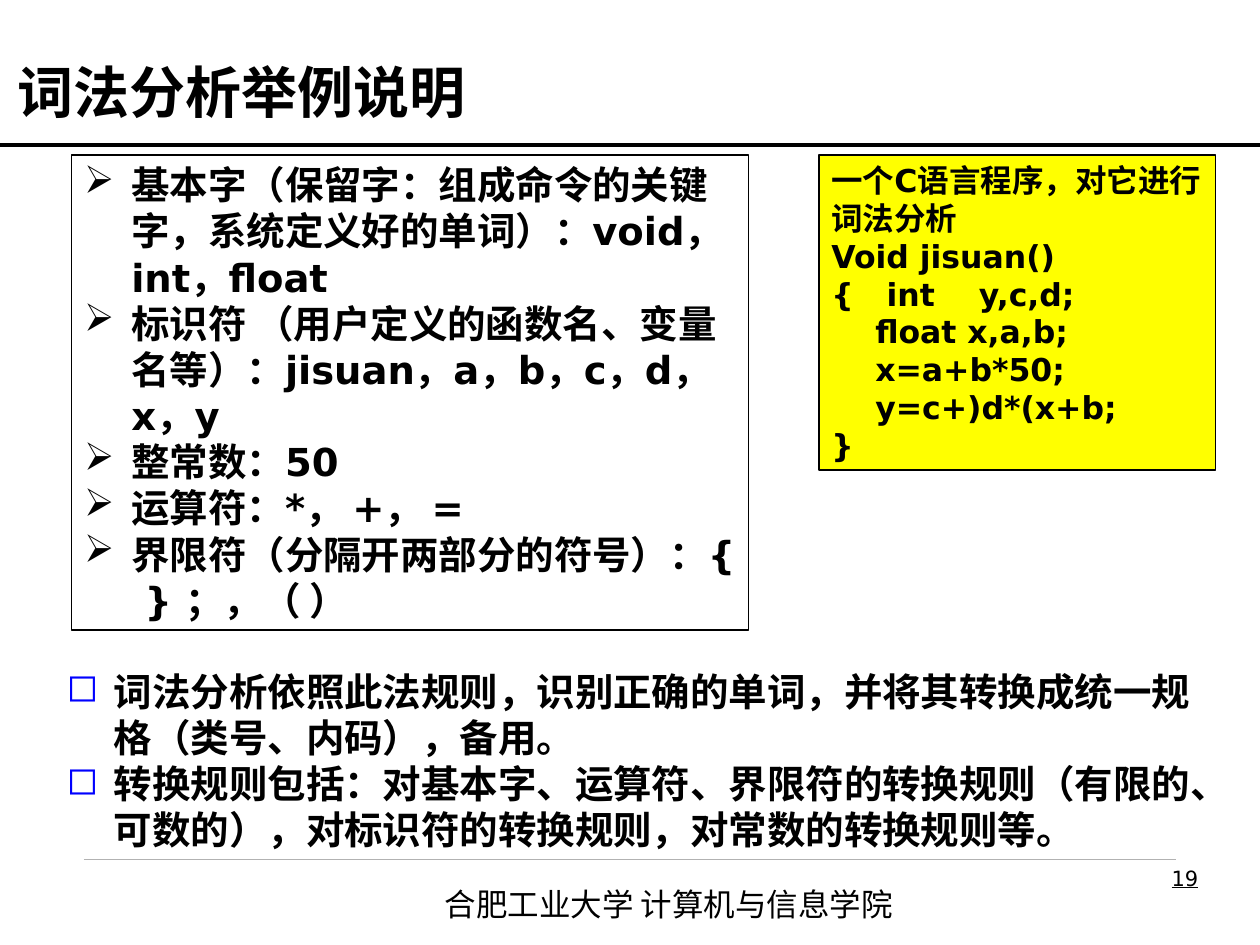
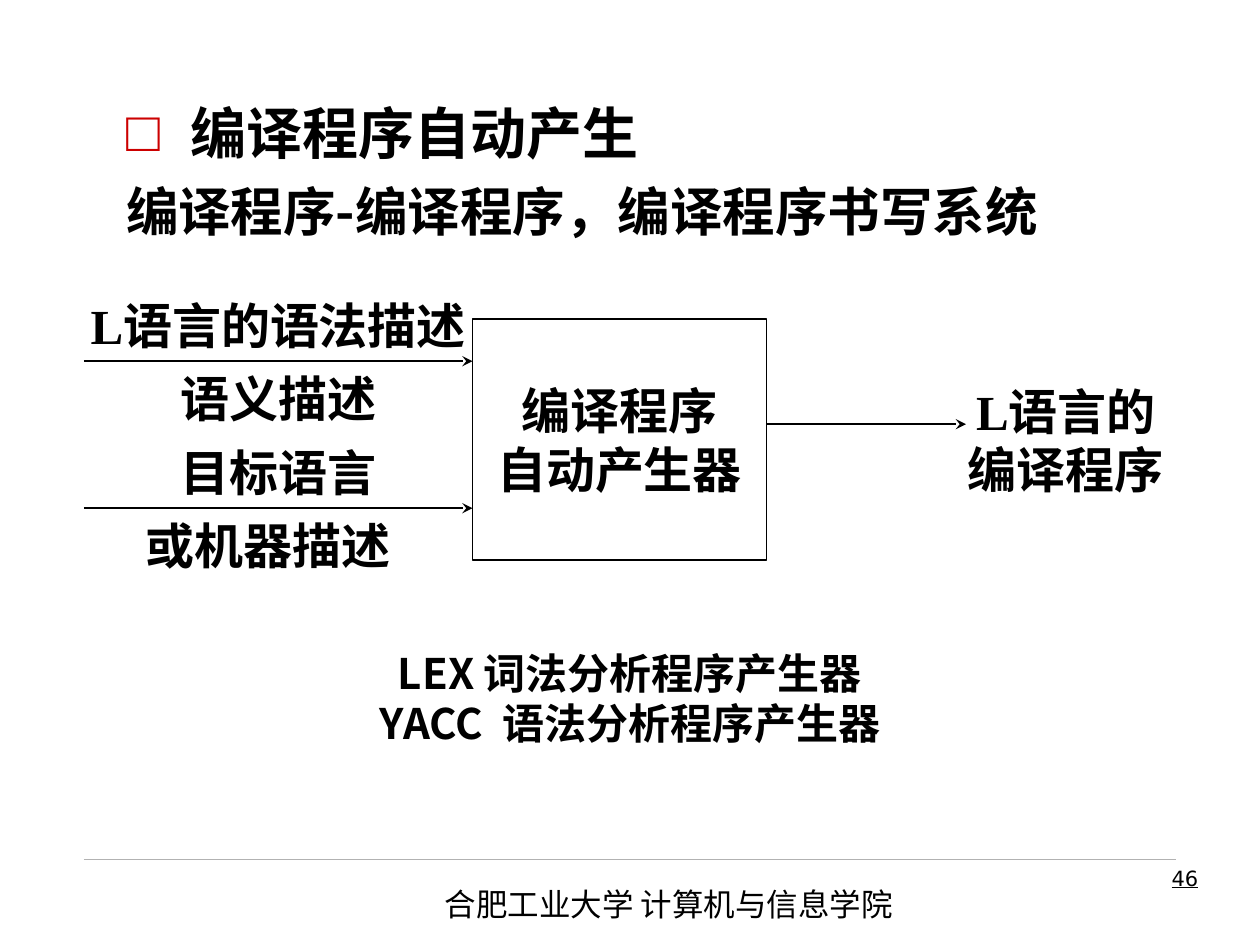
"""Build two compiler-course slides: a lexical analysis example and a compiler generator diagram."""
from lxml.etree import SubElement
from pptx import Presentation
from pptx.dml.color import RGBColor
from pptx.enum.shapes import MSO_CONNECTOR, MSO_SHAPE
from pptx.enum.text import MSO_ANCHOR, MSO_AUTO_SIZE, PP_ALIGN
from pptx.oxml.ns import qn
from pptx.util import Pt

COLORS = {"ink": "000000", "blue": "0000FF", "red": "CC0000", "yellow": "FFFF00", "rule": "B2B2B2"}
CJK, SANS, SERIF = "Noto Sans CJK SC", "DejaVu Sans", "Times New Roman"
RGB = {name: RGBColor.from_string(value) for name, value in COLORS.items()}


def write(sp, box, lines, size, font=SANS, align=PP_ALIGN.LEFT, anchor=MSO_ANCHOR.TOP,
          wrap=True, bullet=None, indent=0, bold=True, underline=None):
    sp.left, sp.top, sp.width, sp.height = [Pt(v) for v in box]
    tf = sp.text_frame
    side = Pt(7.2 if wrap else 0)
    frame = {"word_wrap": wrap, "auto_size": MSO_AUTO_SIZE.NONE, "vertical_anchor": anchor,
             "margin_left": side, "margin_right": side,
             "margin_top": Pt(3.6), "margin_bottom": Pt(3.6)}
    for key, value in frame.items():
        setattr(tf, key, value)
    for i, line in enumerate(lines):
        p = tf.paragraphs[0] if i == 0 else tf.add_paragraph()
        if indent:
            pPr = p._p.get_or_add_pPr()
            pPr.set("marL", str(Pt(indent)))
            pPr.set("indent", str(-Pt(indent)))
            if bullet:
                char, color = bullet
                clr = SubElement(pPr, qn("a:buClr"))
                SubElement(clr, qn("a:srgbClr"), val=COLORS[color])
                SubElement(pPr, qn("a:buChar"), char=char)
        for key, value in {"alignment": align, "space_before": Pt(0), "space_after": Pt(0),
                           "line_spacing": Pt(size * 1.2)}.items():
            setattr(p, key, value)
        r = p.add_run()
        r.text = line
        for key, value in {"size": Pt(size), "name": font, "bold": bold,
                           "underline": underline}.items():
            setattr(r.font, key, value)
        r.font.color.rgb = RGB["ink"]
        SubElement(r._r.get_or_add_rPr(), qn("a:ea"), typeface=CJK)
    return tf


def draw_line(s, x1, x2, y, width, color="ink", arrow=False):
    c = s.shapes.add_connector(MSO_CONNECTOR.STRAIGHT, Pt(x1), Pt(y), Pt(x2), Pt(y))
    c.line.width = Pt(width)
    c.line.color.rgb = RGB[color]
    if arrow:
        SubElement(c.line._get_or_add_ln(), qn("a:tailEnd"), type="stealth")
    SubElement(c._element.spPr, qn("a:effectLst"))


prs = Presentation()
prs.slide_width, prs.slide_height = Pt(720), Pt(540)
example = prs.slides.add_slide(prs.slide_layouts[5])
generator = prs.slides.add_slide(prs.slide_layouts[1])

for s, number in ((example, "19"), (generator, "46")):
    draw_line(s, 48, 672, 491, 0.25, "rule")
    write(s.shapes.add_textbox(0, 0, 0, 0), (247, 502, 345.6, 29),
          ["合肥工业大学 计算机与信息学院"], 18, CJK, bold=False)
    write(s.shapes.add_textbox(0, 0, 0, 0), (535.7, 491, 156.2, 37.4),
          [number], 12, align=PP_ALIGN.RIGHT, bold=False, underline=True)

s = example
write(s.shapes.title, (2.9, 15.1, 630, 59.8), ["词法分析举例说明"], 32, CJK, anchor=MSO_ANCHOR.BOTTOM)
draw_line(s, 0, 720, 82.8, 2.25)

tokens = ["基本字（保留字：组成命令的关键字，系统定义好的单词）：void，int，float",
          "标识符 （用户定义的函数名、变量名等）：jisuan，a，b，c，d，x，y",
          "整常数：50",
          "运算符：*， +， =",
          "界限符（分隔开两部分的符号）：{  } ；，（ ）"]
code = ["一个C语言程序，对它进行词法分析",
        "Void jisuan()",
        "{   int    y,c,d;",
        "    float x,a,b;",
        "    x=a+b*50;",
        "    y=c+)d*(x+b;",
        "}"]
rules = ["词法分析依照此法规则，识别正确的单词，并将其转换成统一规格（类号、内码），备用。",
         "转换规则包括：对基本字、运算符、界限符的转换规则（有限的、可数的），对标识符的转换规则，对常数的转换规则等。"]

panels = [(s, (41, 88.6, 386.6, 271.4), tokens, None, 0.75,
           {"size": 22, "bullet": ("➢", "ink"), "indent": 27}),
          (s, (468, 88.6, 226.8, 180), code, "yellow", 0.75, {"size": 18}),
          (generator, (270, 182.2, 168, 138), ["编译程序", "自动产生器"], None, 1,
           {"size": 28, "font": SERIF, "align": PP_ALIGN.CENTER,
            "anchor": MSO_ANCHOR.MIDDLE, "wrap": False})]
for slide, box, lines, fill, width, fmt in panels:
    sp = slide.shapes.add_shape(MSO_SHAPE.RECTANGLE, 0, 0, 0, 0)
    sp.shadow.inherit = False
    if fill:
        sp.fill.solid()
        sp.fill.fore_color.rgb = RGB[fill]
    else:
        sp.fill.background()
    sp.line.width = Pt(width)
    sp.line.color.rgb = RGB["ink"]
    write(sp, box, lines, **fmt)

write(s.shapes.add_textbox(0, 0, 0, 0), (31, 378, 668.9, 113), rules, 22,
      bullet=("◻", "blue"), indent=27)

s = generator
title = s.shapes.title._element
title.getparent().remove(title)
tf = write(s.placeholders[1], (64.8, 52.6, 589.7, 93.6), ["编译程序自动产生"], 32, CJK,
           bullet=("□", "red"), indent=37)
p = tf.add_paragraph()
pPr = p._p.get_or_add_pPr()
pPr.set("marL", str(Pt(37)))
pPr.set("indent", str(-Pt(37)))
SubElement(pPr, qn("a:buNone"))
p.space_before, p.line_spacing = Pt(7.5), Pt(36)
r = p.add_run()
r.text = "编译程序-编译程序，编译程序书写系统"
for key, value in {"size": Pt(30), "name": CJK, "bold": True}.items():
    setattr(r.font, key, value)
r.font.color.rgb = RGB["ink"]
SubElement(r._r.get_or_add_rPr(), qn("a:ea"), typeface=CJK)

write(s.shapes.add_textbox(0, 0, 0, 0), (54, 366.5, 612, 73.4),
      ["LEX 词法分析程序产生器", "YACC  语法分析程序产生器"], 24, CJK, PP_ALIGN.CENTER)

labels = [((54, 164.4, 210, 42), ["L语言的语法描述"]),
          ((54, 206.4, 210, 42), ["语义描述"]),
          ((54, 248.4, 210, 42), ["目标语言"]),
          ((48, 290.4, 210, 42), ["或机器描述"]),
          ((546, 194.4, 126, 114), ["L语言的", "编译程序"])]
for box, lines in labels:
    write(s.shapes.add_textbox(0, 0, 0, 0), box, lines, 28, SERIF, PP_ALIGN.CENTER,
          MSO_ANCHOR.MIDDLE, wrap=False)
for x1, x2, y in ((48, 270, 206.4), (48, 270, 290.4), (438, 552, 242.4)):
    draw_line(s, x1, x2, y, 1, arrow=True)

prs.save("out.pptx")
